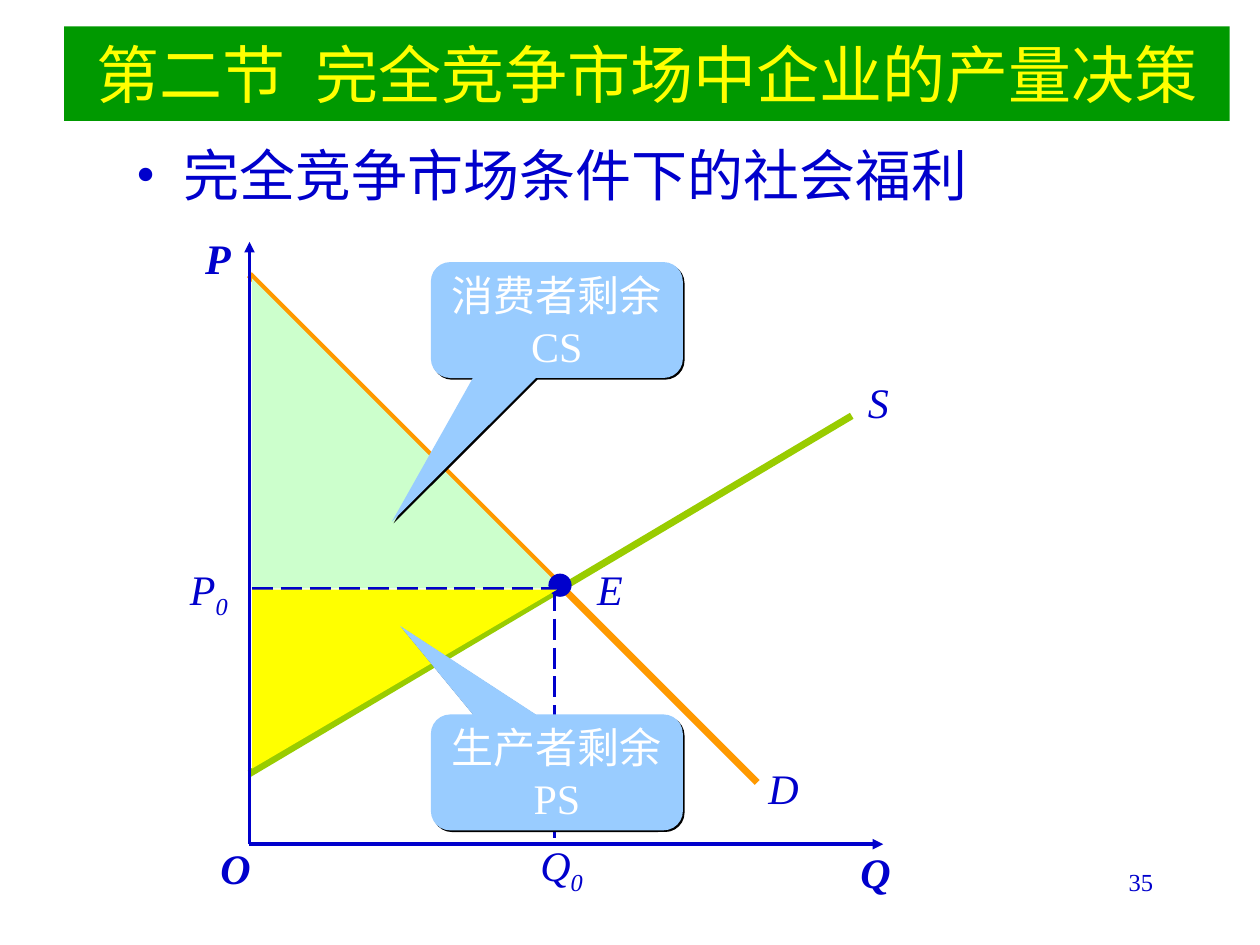
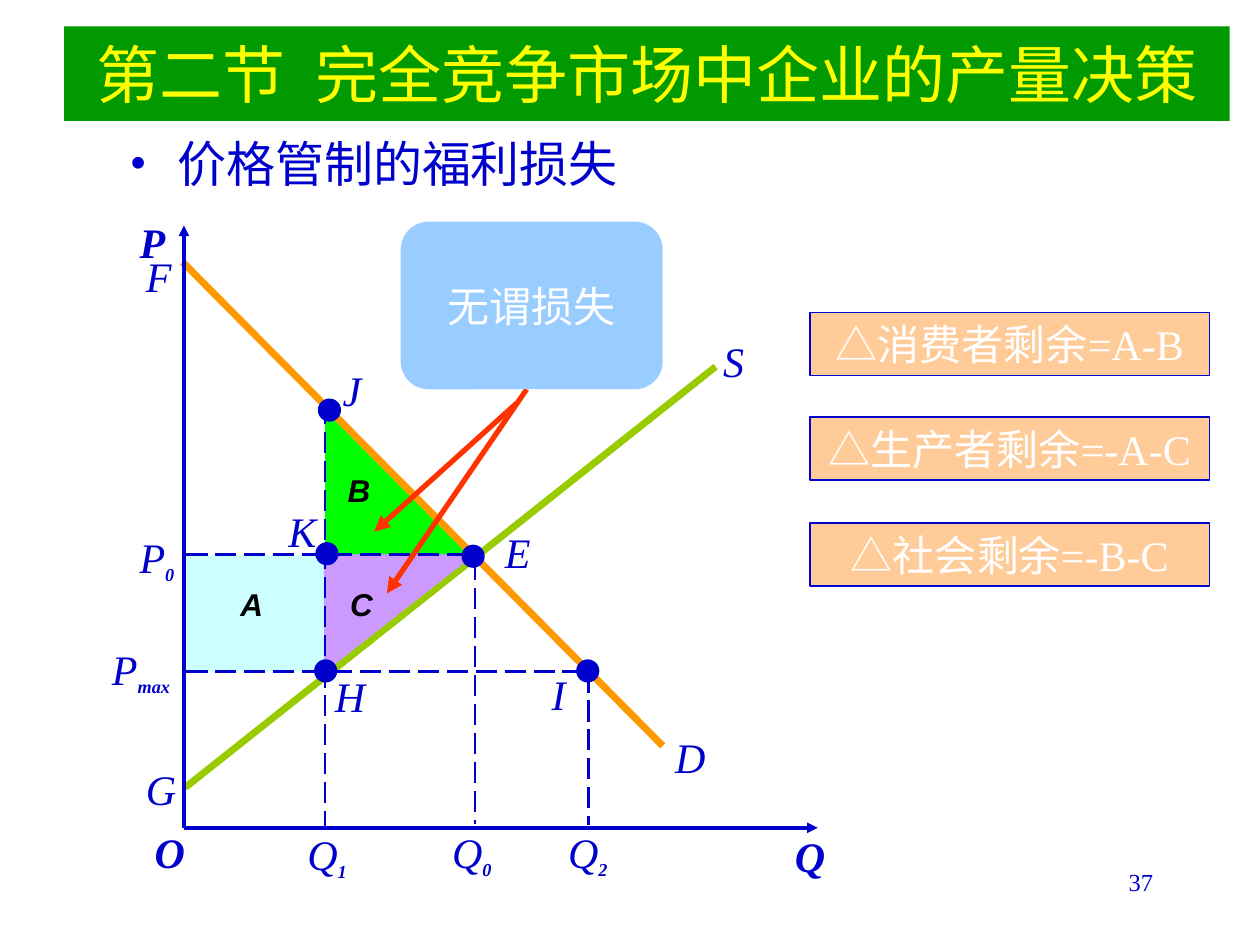
from typing import NamedTuple

from lxml.etree import SubElement
from pptx import Presentation
from pptx.dml.color import RGBColor
from pptx.enum.dml import MSO_LINE
from pptx.enum.shapes import MSO_CONNECTOR, MSO_SHAPE
from pptx.enum.text import MSO_ANCHOR, MSO_AUTO_SIZE, PP_ALIGN
from pptx.oxml.ns import qn
from pptx.util import Emu, Pt

PX = 9144  # 100 px to the inch
COLORS = {
    "band": "009900", "title": "FFFF00", "ink": "0000CC", "black": "000000",
    "white": "FFFFFF", "supply": "99CC00", "demand": "FF9900",
    "consumer": "CCFFCC", "producer": "FFFF00", "callout": "99CCFF",
    "area_a": "CCFFFF", "area_b": "00FF00", "area_c": "CC99FF",
    "arrow": "FF3300", "formula": "FFCC99",
}
SERIF, SANS = "Times New Roman", "Arial"


class Box(NamedTuple):
    x: int
    y: int
    w: int
    h: int


class Line(NamedTuple):
    x1: int
    y1: int
    x2: int
    y2: int


class Label(NamedTuple):
    text: str
    x: int
    y: int
    w: int
    sub: str = ""


class Callout(NamedTuple):
    text: str
    box: Box
    tip_x: float
    tip_y: float


def px(n: int) -> Emu:
    return Emu(n * PX)


def rgb(name: str) -> RGBColor:
    return RGBColor.from_string(COLORS[name])


def add_run(p, text: str, *, size: int = 24, color: str = "ink", font: str = SERIF,
            bold: bool = False, italic: bool = False, **attrs: int) -> None:
    """Append a run; attrs are extra run attributes such as baseline or spc."""
    r = p.add_run()
    r.text = text
    f = r.font
    f.size, f.name, f.bold, f.italic = Pt(size), font, bold, italic
    f.color.rgb = rgb(color)
    for key, value in attrs.items():
        r._r.get_or_add_rPr().set(key, str(value))


def add_text(s, box: Box, text: str, *, align=PP_ALIGN.LEFT, wrap: bool = True, **fmt):
    sp = s.shapes.add_textbox(*map(px, box))
    tf = sp.text_frame
    tf.word_wrap = wrap
    p = tf.paragraphs[0]
    p.alignment = align
    if text:
        add_run(p, text, **fmt)
    return sp


def add_block(s, kind: MSO_SHAPE, box: Box, fill: str, *, outline: str = "",
              rotation: int = 0, text: str = "", **fmt):
    sp = s.shapes.add_shape(kind, *map(px, box))
    sp.shadow.inherit = False
    sp.rotation = rotation
    sp.fill.solid()
    sp.fill.fore_color.rgb = rgb(fill)
    if outline:
        sp.line.color.rgb = rgb(outline)
        sp.line.width = Pt(1)
    else:
        sp.line.fill.background()
    if text:
        tf = sp.text_frame
        tf.word_wrap = True
        tf.vertical_anchor = MSO_ANCHOR.MIDDLE
        tf.paragraphs[0].alignment = PP_ALIGN.CENTER
        add_run(tf.paragraphs[0], text, **fmt)
    return sp


def add_line(s, line: Line, color: str, width: float, *, dashed: bool = False,
             arrow: bool = False) -> None:
    cx = s.shapes.add_connector(MSO_CONNECTOR.STRAIGHT, *map(px, line))
    cx.line.color.rgb = rgb(color)
    cx.line.width = Pt(width)
    if dashed:
        cx.line.dash_style = MSO_LINE.LONG_DASH
    if arrow:
        SubElement(cx.line._get_or_add_ln(), qn("a:tailEnd"), type="triangle")
    SubElement(cx._element.spPr, qn("a:effectLst"))


def add_guides(s, lines: list[Line]) -> None:
    for line in lines:
        add_line(s, line, "ink", 1.5, dashed=True)


def add_dots(s, corners: list[tuple[int, int]]) -> None:
    for x, y in corners:
        add_block(s, MSO_SHAPE.OVAL, Box(x, y, 17, 17), "ink", outline="ink")


def add_labels(s, labels: list[Label], *, sub_size: int = 24, sub_bold: bool = False,
               **fmt) -> None:
    for label in labels:
        sp = add_text(s, Box(label.x, label.y, label.w, 50), label.text,
                      wrap=False, italic=True, **fmt)
        sp.text_frame.auto_size = MSO_AUTO_SIZE.SHAPE_TO_FIT_TEXT
        if label.sub:
            add_run(sp.text_frame.paragraphs[0], label.sub, size=sub_size,
                    bold=sub_bold, italic=True, baseline=-25000)


def add_axes(s, x: int, y: int) -> None:
    """Draw the price and quantity axes from the origin (x, y)."""
    add_line(s, Line(x, y, x, y - 478), "ink", 2, arrow=True)
    add_line(s, Line(x, y, x + 503, y), "ink", 2, arrow=True)
    add_labels(s, [Label("Q", x + 475, y - 3, 44), Label("O", x - 33, y - 6, 44),
                   Label("P", x - 45, y - 490, 40)], bold=True)


def add_callout(s, callout: Callout) -> None:
    sp = add_block(s, MSO_SHAPE.ROUNDED_RECTANGULAR_CALLOUT, callout.box, "callout",
                   text=callout.text, color="white")
    for i, value in enumerate((callout.tip_x, callout.tip_y, 0.167)):
        sp.adjustments[i] = value
    effects = sp._element.spPr.find(qn("a:effectLst"))
    shadow = SubElement(effects, qn("a:outerShdw"), dist=str(Pt(1.4)), dir="2700000",
                        algn="ctr", rotWithShape="0")
    SubElement(shadow, qn("a:srgbClr"), val=COLORS["black"])


def add_bullet(s, box: Box, text: str, size: int) -> None:
    p = add_text(s, box, "").text_frame.paragraphs[0]
    pPr = p._p.get_or_add_pPr()
    pPr.set("marL", str(px(38)))
    pPr.set("indent", str(px(-38)))
    SubElement(SubElement(pPr, qn("a:buClr")), qn("a:srgbClr"), val=COLORS["ink"])
    SubElement(pPr, qn("a:buFont"), typeface=SERIF)
    SubElement(pPr, qn("a:buChar"), char="•")
    add_run(p, text, size=size)


def new_slide(prs, number: int):
    """Add a blank slide with the title band and its page number."""
    s = prs.slides.add_slide(prs.slide_layouts[6])
    title = {"size": 36, "color": "title"}
    band = add_block(s, MSO_SHAPE.RECTANGLE, Box(51, 21, 925, 75), "band",
                     text="第二节", **title)
    p = band.text_frame.paragraphs[0]
    add_run(p, " ", spc=900, **title)
    add_run(p, "完全竞争市场中企业的产量决策", **title)
    add_text(s, Box(717, 683, 208, 50), str(number), align=PP_ALIGN.RIGHT, size=14)
    return s


def build_welfare(prs) -> None:
    s = new_slide(prs, 35)
    add_bullet(s, Box(98, 107, 817, 500), "完全竞争市场条件下的社会福利", 32)
    add_line(s, Line(198, 614, 676, 330), "supply", 4)
    add_line(s, Line(198, 218, 601, 621), "demand", 4)
    add_axes(s, 198, 670)
    add_block(s, MSO_SHAPE.RIGHT_TRIANGLE, Box(200, 221, 246, 246), "consumer")
    add_guides(s, [Line(200, 467, 447, 467), Line(440, 468, 440, 665)])
    add_dots(s, [(436, 456)])
    add_labels(s, [Label("S", 679, 294, 36), Label("D", 600, 600, 44),
                   Label("Q", 419, 661, 54, "0"), Label("P", 141, 442, 50, "0"),
                   Label("E", 464, 442, 40)])
    add_block(s, MSO_SHAPE.RIGHT_TRIANGLE, Box(250, 418, 142, 242), "producer",
              rotation=90)
    for callout in (Callout("生产者剩余PS", Box(342, 567, 200, 92), -0.623, -1.265),
                    Callout("消费者剩余CS", Box(342, 208, 200, 92), -0.655, 1.74)):
        add_callout(s, callout)


def build_price_control(prs) -> None:
    s = new_slide(prs, 37)
    add_block(s, MSO_SHAPE.RIGHT_TRIANGLE, Box(258, 326, 116, 116), "area_b")
    add_line(s, Line(147, 625, 568, 291), "supply", 4)
    add_line(s, Line(145, 208, 526, 592), "demand", 4)
    add_bullet(s, Box(93, 101, 817, 500), "价格管制的福利损失", 28)
    add_block(s, MSO_SHAPE.RECTANGLE, Box(148, 441, 111, 92), "area_a")
    add_block(s, MSO_SHAPE.RIGHT_TRIANGLE, Box(270, 427, 94, 120), "area_c", rotation=90)
    add_labels(s, [Label("A", 181, 459, 38), Label("B", 266, 369, 38),
                   Label("C", 268, 459, 38)],
               size=18, font=SANS, color="black", bold=True)
    add_axes(s, 146, 657)
    add_guides(s, [Line(148, 440, 371, 440), Line(377, 444, 377, 654),
                   Line(148, 533, 462, 533), Line(258, 529, 258, 656),
                   Line(467, 533, 467, 655), Line(258, 320, 258, 532)])
    add_dots(s, [(367, 433), (458, 524), (250, 524), (253, 317), (251, 431)])
    add_labels(s, [
        Label("S", 564, 261, 36), Label("D", 526, 576, 44), Label("F", 106, 194, 40),
        Label("G", 106, 601, 44), Label("E", 391, 413, 40), Label("H", 256, 527, 44),
        Label("I", 428, 526, 31), Label("J", 262, 284, 35), Label("K", 219, 396, 42),
        Label("Q", 349, 651, 52, "0"), Label("Q", 234, 653, 52, "1"),
        Label("Q", 441, 651, 52, "2"), Label("P", 101, 417, 50, "0"),
        Label("P", 79, 506, 68, "max"),
    ], sub_size=18, sub_bold=True)
    for line in (Line(410, 320, 297, 422), Line(418, 309, 307, 471)):
        add_line(s, line, "arrow", 3, arrow=True)
    add_block(s, MSO_SHAPE.ROUNDED_RECTANGLE, Box(318, 176, 208, 133), "callout",
              text="无谓损失", color="white")
    formulas = ("△消费者剩余=A-B", "△生产者剩余=-A-C", "△社会剩余=-B-C")
    for i, formula in enumerate(formulas):
        add_block(s, MSO_SHAPE.RECTANGLE, Box(643, 248 + i * 167 // 2, 317, 50),
                  "formula", outline="ink", text=formula, color="white")


def main() -> None:
    prs = Presentation()
    prs.slide_width, prs.slide_height = px(1000), px(750)
    build_welfare(prs)
    build_price_control(prs)
    prs.save("out.pptx")


if __name__ == "__main__":
    main()
